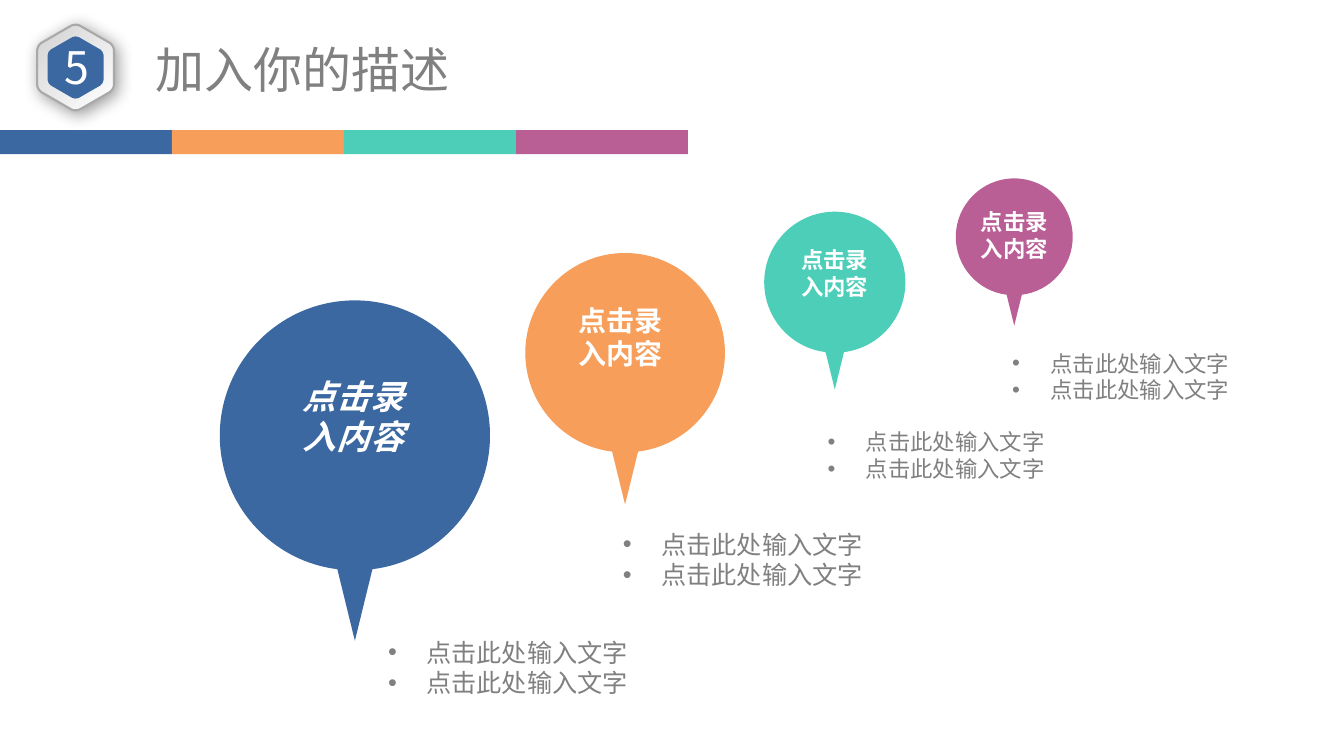
from math import cos, pi, sin

from lxml.etree import SubElement
from pptx import Presentation
from pptx.dml.color import RGBColor as Rgb
from pptx.enum.shapes import MSO_SHAPE as Preset
from pptx.enum.text import MSO_ANCHOR as Anchor, PP_ALIGN as Align
from pptx.oxml.ns import qn
from pptx.util import Inches, Pt

# Content
TITLE = "加入你的描述"
NUMBER = "5"
LABEL = ["点击录", "入内容"]
POINTS = ["点击此处输入文字", "点击此处输入文字"]

THEME = {
    "font": "Noto Sans CJK SC",
    "accents": ["3B68A1", "F79E5A", "4DCEB8", "B95F95"],
    "text": "808080",
    "white": "FFFFFF",
    "badge": "D3D3D3",
    "badge_line": "A9A9A9",
    "title_size": 35,
    "number_size": 32,
}

# Balloon: centre x, top, radius; label box, size, italic; bullet box and size
BALLOONS = [
    dict(x=3.52, top=2.98, radius=1.34, label=(2.74, 3.68, 1.53, 1.15), size=24,
         italic=True, points=(3.75, 6.27, 3.28, 0.71), points_size=18),
    dict(x=6.2, top=2.51, radius=0.99, label=(5.5, 2.96, 1.31, 0.86), size=20,
         italic=False, points=(6.08, 5.2, 3, 0.71), points_size=18),
    dict(x=8.28, top=2.1, radius=0.7, label=(7.73, 2.39, 1.1, 0.81), size=16,
         italic=False, points=(8.11, 4.2, 2.71, 0.64), points_size=16),
    dict(x=10.06, top=1.77, radius=0.58, label=(9.6, 2.02, 0.92, 0.67), size=16,
         italic=False, points=(9.94, 3.42, 2.71, 0.64), points_size=16),
]
BAR_TOP, BAR_WIDTH, BAR_HEIGHT = 1.29, 1.706, 0.24
BADGE_CENTRE = (0.75, 0.67)

# Balloon of radius 1 about its circle's centre: each step is its control points and end
BALLOON_START = (0, -1)
BALLOON_STEPS = [
    [(0.55, -1), (1, -0.55), (1, 0)],
    [(1, 0.51), (0.62, 0.93), (0.13, 0.99)],
    [(0, 1.52)],
    [(-0.13, 0.99)],
    [(-0.62, 0.93), (-1, 0.51), (-1, 0)],
    [(-1, -0.55), (-0.55, -1), (0, -1)],
]

presentation = Presentation()
presentation.slide_width, presentation.slide_height = Inches(13.33), Inches(7.5)
slide = presentation.slides.add_slide(presentation.slide_layouts[6])


def paint(shape, color):
    shape.shadow.inherit = False
    shape.fill.solid()
    shape.fill.fore_color.rgb = Rgb.from_string(color)
    shape.line.fill.background()


def add_outline(centre, radius, start, steps):
    """Freeform whose three-point steps become Bezier curves."""
    def place(point):
        return tuple(Inches(c + radius * p) for c, p in zip(centre, point))

    builder = slide.shapes.build_freeform(*place(start), scale=1.0)
    builder.add_line_segments([place(step[-1]) for step in steps], close=True)
    shape = builder.convert_to_shape()
    for line, step in zip(list(shape._element.iter(qn("a:lnTo"))), steps):
        if len(step) == 3:
            line.tag = qn("a:cubicBezTo")
            for i, control in enumerate(step[:2]):
                x, y = place(control)
                point = SubElement(line, qn("a:pt"), x=str(x - shape.left),
                                   y=str(y - shape.top))
                line.insert(i, point)
    return shape


def add_text(box, lines, size, color, bold=False, italic=False, bullets=False,
             wrap=True, anchor=Anchor.TOP, insets=(0.1, 0.05)):
    frame = slide.shapes.add_textbox(*map(Inches, box)).text_frame
    frame.word_wrap, frame.vertical_anchor = wrap, anchor
    frame.margin_left = frame.margin_right = Inches(insets[0])
    frame.margin_top = frame.margin_bottom = Inches(insets[1])
    frame.text = "\n".join(lines)
    for paragraph in frame.paragraphs:
        paragraph.alignment = Align.LEFT if bullets else Align.CENTER
        if bullets:
            properties = paragraph._p.get_or_add_pPr()
            properties.set("marL", str(Inches(0.38)))
            properties.set("indent", str(-Inches(0.38)))
            SubElement(properties, qn("a:buFont"), typeface="Arial")
            SubElement(properties, qn("a:buChar"), char="•")
        font = paragraph.font
        font.name, font.size = THEME["font"], Pt(size)
        font.bold, font.italic = bold, italic
        font.color.rgb = Rgb.from_string(color)
        defaults = paragraph._p.pPr.find(qn("a:defRPr"))
        SubElement(defaults, qn("a:ea"), typeface=THEME["font"])


def add_hexagon(radius, trim=0.11):
    """Regular hexagon, point up, with each corner rounded by one curve."""
    corners = [(sin(i * pi / 3), -cos(i * pi / 3)) for i in range(6)]

    def toward(corner, other, share):
        return tuple(c + share * (o - c) for c, o in zip(corner, other))

    steps = []
    for i, corner in enumerate(corners):
        before, after = corners[i - 1], corners[(i + 1) % 6]
        steps.append([toward(corner, before, trim)])
        steps.append([toward(corner, before, trim / 2),
                      toward(corner, after, trim / 2),
                      toward(corner, after, trim)])
    return add_outline(BADGE_CENTRE, radius, steps[-1][-1], steps)


# Colour bar
for i, color in enumerate(THEME["accents"]):
    box = (i * BAR_WIDTH, BAR_TOP, BAR_WIDTH, BAR_HEIGHT)
    paint(slide.shapes.add_shape(Preset.RECTANGLE, *map(Inches, box)), color)

# Title
add_text((1.1, 0.35, 3.8, 0.67), [TITLE], THEME["title_size"], THEME["text"],
         anchor=Anchor.MIDDLE, insets=(0.13, 0.06))

# Numbered badge
badge = add_hexagon(0.44)
badge.fill.gradient()
badge.fill.gradient_angle = 315
for stop, color in zip(badge.fill.gradient_stops, (THEME["badge"], THEME["white"])):
    stop.color.rgb = Rgb.from_string(color)
badge.line.color.rgb = Rgb.from_string(THEME["badge_line"])
badge.line.width = Pt(1.5)
badge.shadow.inherit = False
effects = badge._element.spPr.find(qn("a:effectLst"))
shadow = SubElement(effects, qn("a:outerShdw"), blurRad=str(Pt(12)), dist=str(Pt(3)),
                    dir="2700000", algn="tl", rotWithShape="0")
shade = SubElement(shadow, qn("a:srgbClr"), val="000000")
SubElement(shade, qn("a:alpha"), val="40000")
paint(add_hexagon(0.32), THEME["accents"][0])
add_text((0.42, 0.35, 0.69, 0.61), [NUMBER], THEME["number_size"], THEME["white"],
         insets=(0.07, 0.04))

# Balloons with their labels and bullet points
for balloon, color in zip(BALLOONS, THEME["accents"]):
    radius = balloon["radius"]
    centre = (balloon["x"], balloon["top"] + radius)
    paint(add_outline(centre, radius, BALLOON_START, BALLOON_STEPS), color)
    add_text(balloon["label"], LABEL, balloon["size"], THEME["white"], bold=True,
             italic=balloon["italic"], wrap=False)
    add_text(balloon["points"], POINTS, balloon["points_size"], THEME["text"],
             bullets=True)

presentation.save("out.pptx")
